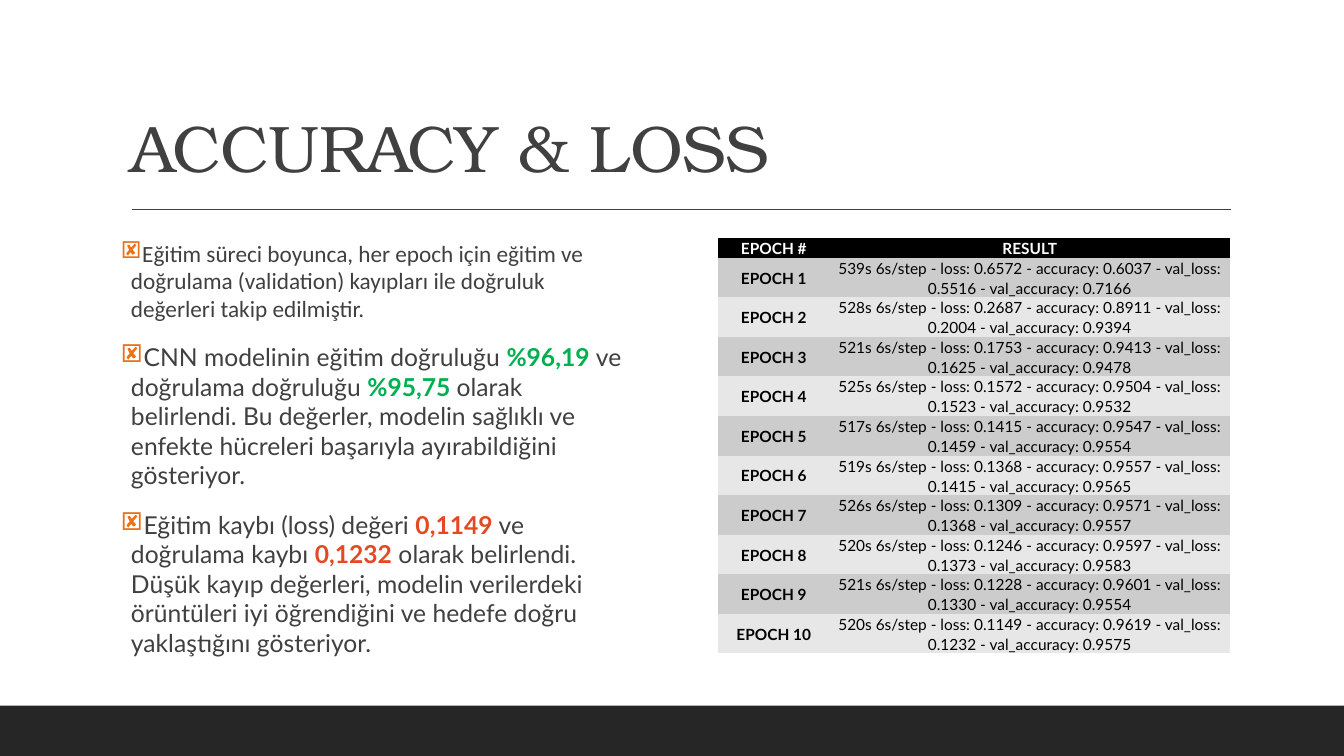
from lxml.etree import SubElement
from pptx import Presentation
from pptx.dml.color import RGBColor
from pptx.enum.shapes import MSO_CONNECTOR as Connector, MSO_SHAPE as Preset
from pptx.enum.text import MSO_ANCHOR as Anchor, PP_ALIGN as Align
from pptx.oxml.ns import qn
from pptx.util import Inches, Pt

INK, BLACK, WHITE, BAR = "404040", "000000", "FFFFFF", "262626"
GREEN, RED, ORANGE = "00B050", "E64823", "EC7016"
BANDS = ("CCCCCC", "E7E7E7")
NO_TABLE_STYLE = "{2D5ABB26-0587-4C30-8999-92F81FD0307C}"

# Each finding: font, size, and runs of (text, colour); coloured figures are bold.
FINDINGS = [
    ("Calibri", 16.6, [
        ("Eğitim süreci boyunca, her epoch için eğitim ve doğrulama (validation) "
         "kayıpları ile doğruluk değerleri takip edilmiştir.", INK)]),
    ("Lato", 17.6, [
        ("CNN modelinin eğitim doğruluğu ", INK), ("%96,19 ", GREEN),
        ("ve doğrulama doğruluğu ", INK), ("%95,75 ", GREEN),
        ("olarak belirlendi. Bu değerler, modelin sağlıklı ve enfekte hücreleri "
         "başarıyla ayırabildiğini gösteriyor.", INK)]),
    ("Lato", 17.6, [
        ("Eğitim kaybı (loss) değeri ", INK), ("0,1149", RED),
        (" ve doğrulama kaybı ", INK), ("0,1232", RED),
        (" olarak belirlendi. Düşük kayıp değerleri, modelin verilerdeki örüntüleri "
         "iyi öğrendiğini ve hedefe doğru yaklaştığını gösteriyor.", INK)]),
]

# Seconds, loss, accuracy, validation loss, validation accuracy
EPOCHS = [
    (539, 0.6572, 0.6037, 0.5516, 0.7166),
    (528, 0.2687, 0.8911, 0.2004, 0.9394),
    (521, 0.1753, 0.9413, 0.1625, 0.9478),
    (525, 0.1572, 0.9504, 0.1523, 0.9532),
    (517, 0.1415, 0.9547, 0.1459, 0.9554),
    (519, 0.1368, 0.9557, 0.1415, 0.9565),
    (526, 0.1309, 0.9571, 0.1368, 0.9557),
    (520, 0.1246, 0.9597, 0.1373, 0.9583),
    (521, 0.1228, 0.9601, 0.1330, 0.9554),
    (520, 0.1149, 0.9619, 0.1232, 0.9575),
]


def rgb(code):
    return RGBColor.from_string(code)


def epoch_result(seconds, loss, accuracy, val_loss, val_accuracy):
    return (f"{seconds}s 6s/step - loss: {loss:.4f} - accuracy: {accuracy:.4f}"
            f" - val_loss: {val_loss:.4f} - val_accuracy: {val_accuracy:.4f}")


class Deck:
    """One slide and its style; lengths are percentages of the slide's size."""

    def __init__(self):
        self.file = Presentation()
        self.file.slide_width, self.file.slide_height = Inches(13.33), Inches(7.5)
        self.slide = self.file.slides.add_slide(self.file.slide_layouts[6])
        self.shapes = self.slide.shapes

    def x(self, share):
        return round(self.file.slide_width * share / 100)

    def y(self, share):
        return round(self.file.slide_height * share / 100)

    def box(self, left, top, width, height):
        return self.x(left), self.y(top), self.x(width), self.y(height)

    def style(self, run, font, size, colour, bold=False):
        run.font.name, run.font.size, run.font.bold = font, Pt(size), bold
        run.font.color.rgb = rgb(colour)

    def bar(self, area, colour):
        bar = self.shapes.add_shape(Preset.RECTANGLE, *self.box(*area))
        bar.shadow.inherit = False
        bar.fill.solid()
        bar.fill.fore_color.rgb = rgb(colour)
        bar.line.fill.background()

    def rule(self, left, right, level):
        rule = self.shapes.add_connector(
            Connector.STRAIGHT, self.x(left), self.y(level), self.x(right), self.y(level))
        rule.line.color.rgb, rule.line.width = rgb(INK), Pt(1)
        SubElement(rule._element.spPr, qn("a:effectLst"))

    def title(self, area, text):
        frame = self.shapes.add_textbox(*self.box(*area)).text_frame
        frame.word_wrap, frame.vertical_anchor = True, Anchor.BOTTOM
        frame.text = text
        frame.paragraphs[0].line_spacing = 0.9
        run = frame.paragraphs[0].runs[0]
        self.style(run, "TeX Gyre Bonum", 47, INK)
        run.font._element.set("spc", "-50")

    def bullet(self, paragraph):
        """Give the paragraph a hanging orange checkbox."""
        props = paragraph._p.get_or_add_pPr()
        props.set("marL", str(Inches(0.1)))
        props.set("indent", str(-Inches(0.1)))
        SubElement(SubElement(props, qn("a:buClr")), qn("a:srgbClr")).set("val", ORANGE)
        SubElement(props, qn("a:buFont")).set("typeface", "Wingdings 2")
        SubElement(props, qn("a:buChar")).set("char", "❑")

    def findings(self, area, findings):
        frame = self.shapes.add_textbox(*self.box(*area)).text_frame
        frame.word_wrap = True
        frame.margin_left = frame.margin_right = 0
        for index, (font, size, parts) in enumerate(findings):
            paragraph = frame.add_paragraph() if index else frame.paragraphs[0]
            paragraph.space_before, paragraph.space_after = Pt(12), Pt(2)
            self.bullet(paragraph)
            for text, colour in parts:
                run = paragraph.add_run()
                run.text = text
                self.style(run, font, size, colour, bold=colour != INK)

    def cell(self, cell, text, fill, colour, bold):
        cell.fill.solid()
        cell.fill.fore_color.rgb = rgb(fill)
        cell.vertical_anchor = Anchor.MIDDLE
        cell.margin_left = cell.margin_right = Inches(0.07)
        cell.margin_top = cell.margin_bottom = 0
        cell.text_frame.text = text
        paragraph = cell.text_frame.paragraphs[0]
        paragraph.alignment, paragraph.line_spacing = Align.CENTER, 1.07
        self.style(paragraph.runs[0], "Lato", 11, colour, bold)

    def table(self, area, rows, widths, header_height, row_height):
        frame = self.shapes.add_table(len(rows), len(widths), *self.box(*area))
        table = frame.table
        next(frame._element.iter(qn("a:tableStyleId"))).text = NO_TABLE_STYLE
        for column, width in zip(table.columns, widths):
            column.width = self.x(width)
        for index, row in enumerate(rows):
            header = index == 0
            table.rows[index].height = self.y(header_height if header else row_height)
            fill = BLACK if header else BANDS[(index - 1) % 2]
            for number, text in enumerate(row):
                self.cell(table.cell(index, number), text, fill,
                          WHITE if header else BLACK, bold=header or number == 0)


def main():
    deck = Deck()
    deck.bar((0, 93.33, 100, 6.67), BAR)
    deck.rule(9.83, 91.6, 27.73)
    deck.title((9, 4.13, 82.5, 21.2), "ACCURACY & LOSS")
    deck.findings((9, 30.93, 38, 54.67), FINDINGS)
    rows = [("EPOCH #", "RESULT")]
    rows += [(f"EPOCH {number}", epoch_result(*epoch))
             for number, epoch in enumerate(EPOCHS, 1)]
    deck.table((53.45, 31.47, 38.1, 53.5), rows, widths=(8.25, 29.85),
               header_height=2.6, row_height=5.1)
    deck.file.save("out.pptx")


if __name__ == "__main__":
    main()
